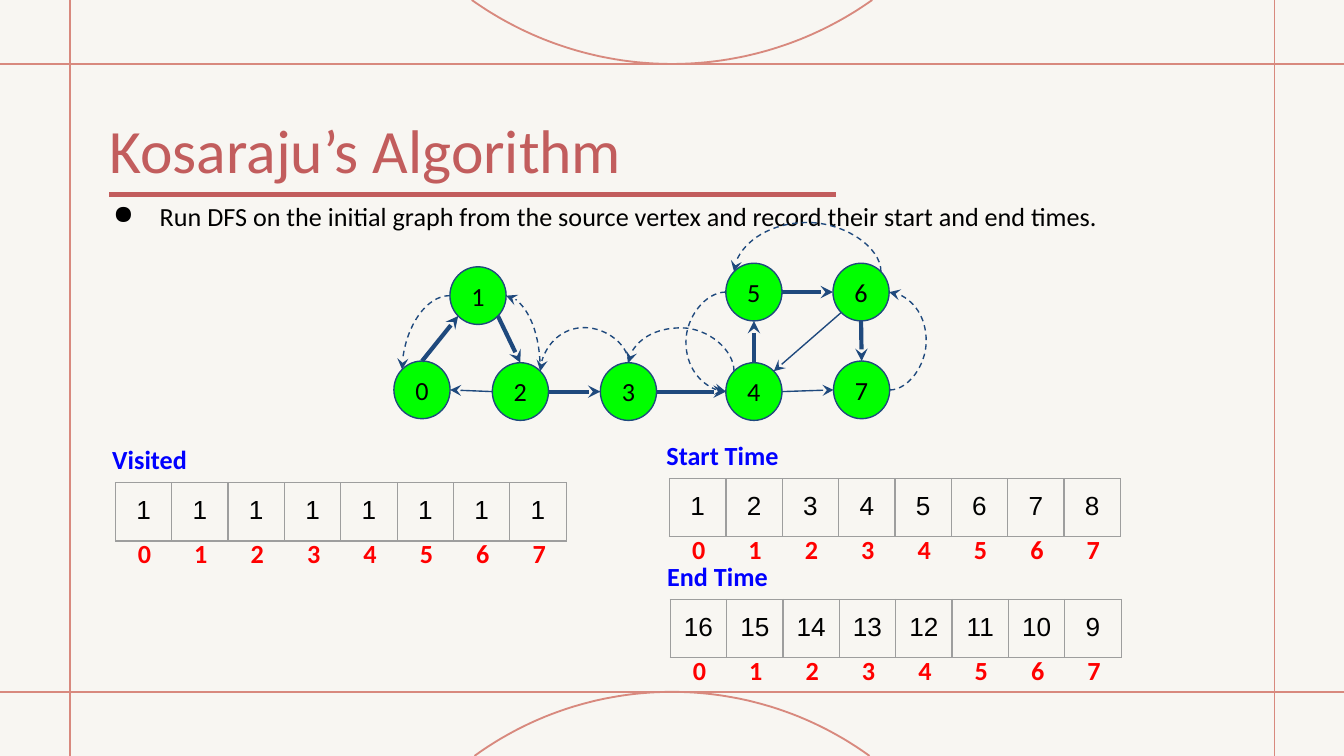
from math import sqrt

from lxml.etree import SubElement
from pptx import Presentation
from pptx.dml.color import RGBColor
from pptx.enum.dml import MSO_LINE
from pptx.enum.shapes import MSO_CONNECTOR as CONN, MSO_SHAPE as SHAPE
from pptx.enum.text import MSO_ANCHOR as ANCHOR, PP_ALIGN as ALIGN
from pptx.oxml.ns import qn
from pptx.util import Pt

PAPER = RGBColor(0xF8, 0xF6, 0xF2)
SALMON = RGBColor(0xD8, 0x89, 0x7E)
BRICK = RGBColor(0xC2, 0x5D, 0x5D)
GREEN = RGBColor(0x00, 0xFF, 0x00)
NAVY = RGBColor(0x1F, 0x49, 0x7D)
BLUE = RGBColor(0x00, 0x00, 0xFF)
RED = RGBColor(0xFF, 0x00, 0x00)
GRAY = RGBColor(0x9E, 0x9E, 0x9E)
BLACK = RGBColor(0x00, 0x00, 0x00)

WIDTH, HEIGHT = 720, 405
TOP_LINE, BOTTOM_LINE = 34.3, 370.7
NODE_W, NODE_H = 30.1, 30.9
CELL_W, CELL_H = 30.2, 30.9
DIAG = sqrt(0.5)

SITES = {
    "N": (0, -1), "S": (0, 1), "E": (1, 0), "W": (-1, 0),
    "NE": (DIAG, -DIAG), "NW": (-DIAG, -DIAG),
    "SE": (DIAG, DIAG), "SW": (-DIAG, DIAG),
}
NODES = [
    (226.1, 208.9), (256.1, 158.4), (278.8, 209.8), (336.7, 209.8),
    (403.9, 209.8), (403.9, 156.5), (461.3, 156.5), (461.6, 208.9),
]
EDGES = [
    (2, "W", 0, "E", 0.75), (2, "E", 3, "W", 2.25),
    (3, "E", 4, "W", 2.25), (4, "N", 5, "S", 2.25),
    (5, "E", 6, "W", 2.25), (6, "S", 7, "N", 2.25),
    (6, "SW", 4, "NE", 0.75), (4, "E", 7, "W", 0.75),
    (1, "SE", 2, "N", 2.25), (0, "N", 1, "SW", 2.25),
]
RETURNS = [
    (7, "E", 6, "E", 180, False, 18.8),
    (6, "NE", 5, "NW", 90, False, 23.2),
    (5, "W", 4, "W", 0, False, 18.8),
    (4, "NW", 3, "N", 90, True, 23.2),
    (3, "N", 2, "NE", 90, False, 18.8),
    (2, "NE", 1, "E", 90, True, None),
    (1, "W", 0, "NW", 0, True, None),
]
ARRAYS = [
    ("Visited", 61.8, 258.6, [1] * 8),
    ("Start Time", 358.7, 256.4, range(1, 9)),
    ("End Time", 359.1, 321.2, range(16, 8, -1)),
]


def site(node, side):
    (x, y), (dx, dy) = NODES[node], SITES[side]
    return x + dx * NODE_W / 2, y + dy * NODE_H / 2


class Deck:
    font = "Calibri"
    size = 14

    def __init__(self, slide):
        self.slide = slide
        self.shapes = slide.shapes
        slide.background.fill.solid()
        slide.background.fill.fore_color.rgb = PAPER

    def style(self, p, text, color=BLACK, size=None, bold=False, font=None):
        p.text = text
        for r in p.runs:
            r.font.name = font or self.font
            r.font.size = Pt(size or self.size)
            r.font.bold = bold
            r.font.color.rgb = color

    def text(self, x, y, w, h, text, color=BLACK, size=None, bold=False, inset=7.2):
        sp = self.shapes.add_textbox(Pt(x), Pt(y), Pt(w), Pt(h))
        tf = sp.text_frame
        tf.word_wrap = True
        tf.margin_left = tf.margin_right = tf.margin_top = tf.margin_bottom = Pt(inset)
        p = tf.paragraphs[0]
        self.style(p, text, color, size, bold)
        return p

    def bullet(self, x, y, w, h, text):
        pPr = self.text(x, y, w, h, text)._p.get_or_add_pPr()
        pPr.set("marL", str(Pt(36)))
        pPr.set("indent", str(Pt(-25)))
        SubElement(pPr, qn("a:buChar")).set("char", "●")

    def indices(self, x, y, count):
        labels = "\t".join(str(i) for i in range(count))
        pPr = self.text(x, y, 260, 31.7, labels, RED, bold=True)._p.get_or_add_pPr()
        tabs = SubElement(pPr, qn("a:tabLst"))
        for i in range(1, count):
            tab = SubElement(tabs, qn("a:tab"))
            tab.set("pos", str(Pt(i * CELL_W)))
            tab.set("algn", "l")

    def line(self, start, end, color, width, arrow=False, kind=CONN.STRAIGHT):
        c = self.shapes.add_connector(kind, *(Pt(v) for v in (*start, *end)))
        c.line.color.rgb = color
        c.line.width = Pt(width)
        spPr = c._element.spPr
        if arrow:
            SubElement(spPr.find(qn("a:ln")), qn("a:tailEnd")).set("type", "stealth")
        SubElement(spPr, qn("a:effectLst"))
        return c

    def curve(self, start, end, turn, flip, bulge):
        (x1, y1), (x2, y2) = start, end
        w, h = abs(x2 - x1), abs(y2 - y1)
        if turn == 90:
            w, h = h, w
        w = max(w, 0.1)
        left, top = (x1 + x2 - w) / 2, (y1 + y2 - h) / 2
        xs = (left + w, left) if flip else (left, left + w)
        c = self.line((xs[0], top), (xs[1], top + h), NAVY, 0.75, True, CONN.CURVE)
        c.line.dash_style = MSO_LINE.DASH
        spPr = c._element.spPr
        spPr.find(qn("a:xfrm")).set("rot", str(turn * 60000))
        geom = spPr.find(qn("a:prstGeom"))
        if bulge is None:
            geom.set("prst", "curvedConnector2")
        else:
            ratio = (bulge if flip else -bulge) / w
            gd = SubElement(geom.find(qn("a:avLst")), qn("a:gd"))
            gd.set("name", "adj1")
            gd.set("fmla", f"val {round(ratio * 100000)}")

    def arc(self, tip, edge, half):
        sag = abs(tip - edge)
        radius = (half ** 2 + sag ** 2) / (2 * sag)
        side = 1 if edge > tip else -1
        points = []
        for i in range(-36, 37):
            dx = half * i / 36
            y = tip + side * (radius - sqrt(radius ** 2 - dx ** 2))
            points.append((Pt(WIDTH / 2 + dx), Pt(y)))
        builder = self.shapes.build_freeform(*points[0])
        builder.add_line_segments(points[1:], close=False)
        sp = builder.convert_to_shape()
        sp.shadow.inherit = False
        sp.fill.background()
        sp.line.color.rgb = SALMON
        sp.line.width = Pt(1)

    def node(self, x, y, text):
        sp = self.shapes.add_shape(SHAPE.OVAL, Pt(x - NODE_W / 2), Pt(y - NODE_H / 2),
                                   Pt(NODE_W), Pt(NODE_H))
        sp.shadow.inherit = False
        sp.fill.solid()
        sp.fill.fore_color.rgb = GREEN
        sp.line.color.rgb = NAVY
        sp.line.width = Pt(0.75)
        tf = sp.text_frame
        tf.vertical_anchor = ANCHOR.MIDDLE
        tf.margin_left = tf.margin_right = tf.margin_top = tf.margin_bottom = Pt(7.2)
        self.style(tf.paragraphs[0], text)
        tf.paragraphs[0].alignment = ALIGN.CENTER

    def table(self, x, y, values):
        n = len(values)
        table = self.shapes.add_table(1, n, Pt(x), Pt(y), Pt(n * CELL_W), Pt(CELL_H)).table
        table.first_row = table.horz_banding = False
        for column, cell, value in zip(table.columns, table.iter_cells(), values):
            column.width = Pt(CELL_W)
            cell.margin_left = cell.margin_right = Pt(7.2)
            cell.margin_top = cell.margin_bottom = Pt(7.2)
            p = cell.text_frame.paragraphs[0]
            self.style(p, str(value), font="Arial")
            p.alignment = ALIGN.CENTER
            cell.fill.background()
            tcPr = cell._tc.get_or_add_tcPr()
            for i, edge in enumerate(("a:lnL", "a:lnR", "a:lnT", "a:lnB")):
                ln = SubElement(tcPr, qn(edge))
                ln.set("w", str(Pt(0.75)))
                fill = SubElement(ln, qn("a:solidFill"))
                SubElement(fill, qn("a:srgbClr")).set("val", str(GRAY))
                tcPr.insert(i, ln)


def main():
    prs = Presentation()
    prs.slide_width, prs.slide_height = Pt(WIDTH), Pt(HEIGHT)
    deck = Deck(prs.slides.add_slide(prs.slide_layouts[6]))

    for y, edge, half in ((BOTTOM_LINE, HEIGHT, 105.8), (TOP_LINE, 0, 107.3)):
        deck.line((0, y), (WIDTH, y), SALMON, 1)
        deck.arc(y, edge, half)
    for x in (37.5, 682.8):
        deck.line((x, 0), (x, HEIGHT), SALMON, 1)

    deck.line((58.4, 104.2), (447.8, 104.2), BRICK, 3)
    deck.text(58.7, 59.8, 332.6, 40.3, "Kosaraju’s Algorithm", BRICK, 33, inset=0)
    deck.bullet(42.5, 100.1, 634.3, 31.7,
                "Run DFS on the initial graph from the source vertex "
                "and record their start and end times.")

    for i, (x, y) in enumerate(NODES):
        deck.node(x, y, str(i))
    for a, a_side, b, b_side, width in EDGES:
        deck.line(site(a, a_side), site(b, b_side), NAVY, width, True)
    for a, a_side, b, b_side, turn, flip, bulge in RETURNS:
        deck.curve(site(a, a_side), site(b, b_side), turn, flip, bulge)

    for title, x, y, values in ARRAYS:
        deck.table(x, y, values)
        deck.text(x - 8.8, y - 28, 104, 31.7, title, BLUE, bold=True)
        deck.indices(x + 5, y + 22.2, len(values))

    prs.save("out.pptx")


if __name__ == "__main__":
    main()
